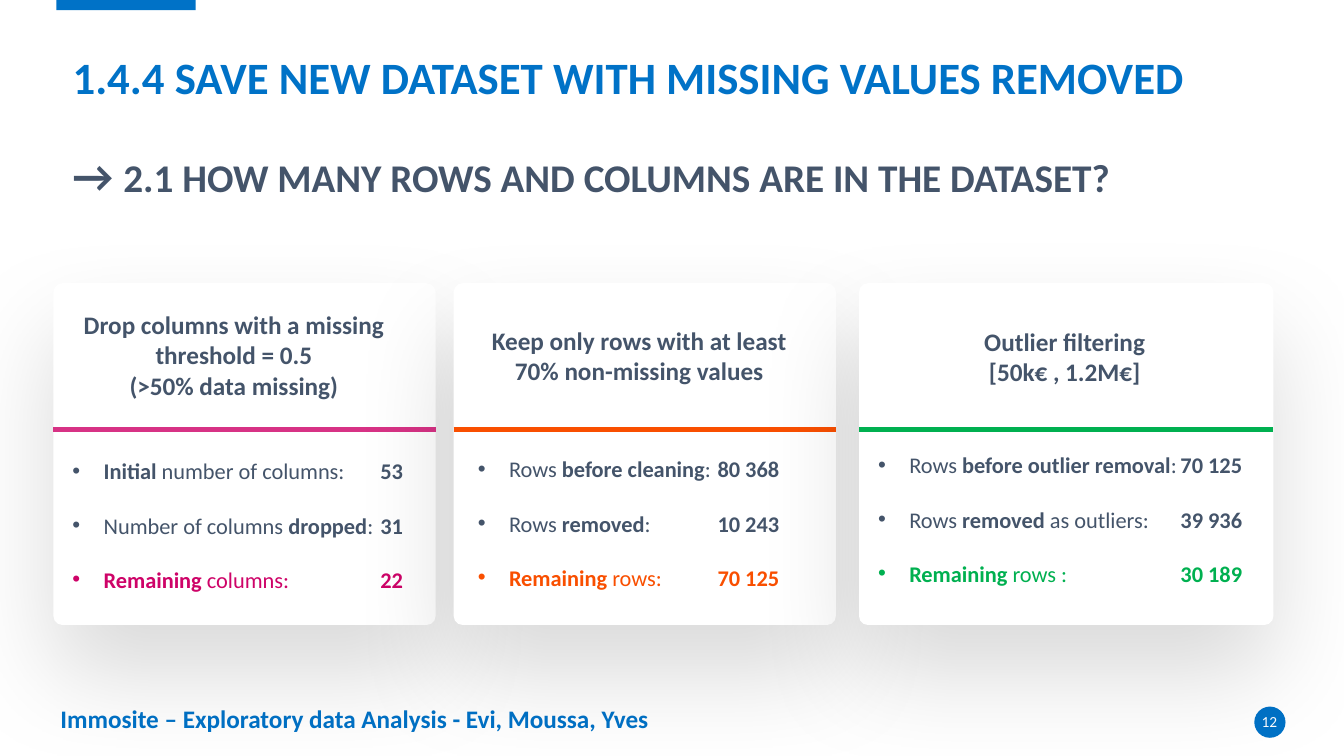
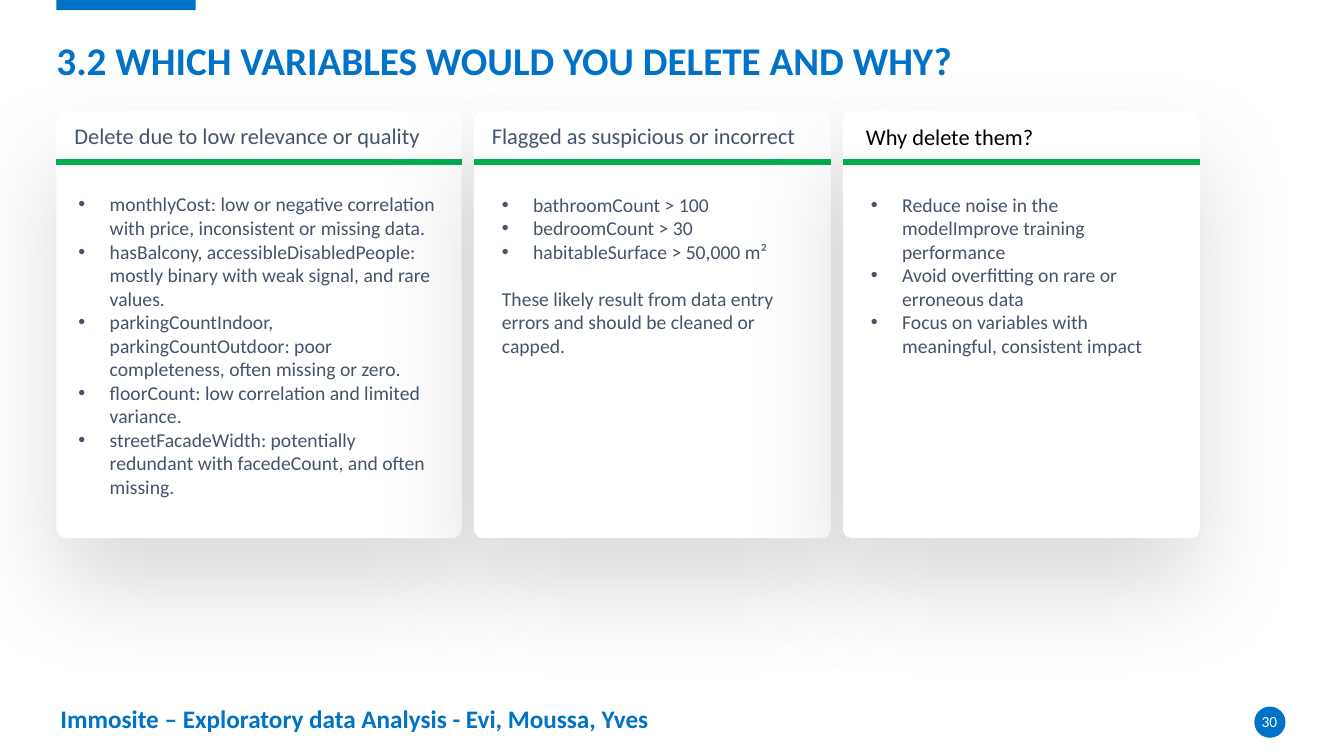
import lxml.etree
import pptx
import pptx.dml.color
import pptx.enum.shapes
import pptx.enum.text
import pptx.oxml.ns
import pptx.util

Inches = pptx.util.Inches
Pt = pptx.util.Pt
Color = pptx.dml.color.RGBColor
Shape = pptx.enum.shapes.MSO_SHAPE
Align = pptx.enum.text.PP_ALIGN
Anchor = pptx.enum.text.MSO_ANCHOR
qn = pptx.oxml.ns.qn

BLUE = Color(0x00, 0x72, 0xC7)
SLATE = Color(0x44, 0x54, 0x6A)
PINK_LINE = Color(0xD7, 0x32, 0x85)
PINK = Color(0xCE, 0x03, 0x68)
ORANGE = Color(0xF9, 0x4F, 0x00)
GREEN = Color(0x00, 0xB0, 0x50)
WHITE = Color(0xFF, 0xFF, 0xFF)
BLACK = Color(0x00, 0x00, 0x00)
FONT = "Calibri"
FOOTER = "Immosite – Exploratory data Analysis - Evi, Moussa, Yves"
HANG = 0.31
INSETS = (0.1, 0.05, 0.1, 0.05)

CLEANING = {
    "number": "12",
    "title_box": (0.62, 0.5, 12.28, 1.56),
    "title_insets": INSETS,
    "title_anchor": Anchor.MIDDLE,
    "title": [
        [("1.4.4 SAVE NEW DATASET WITH MISSING VALUES REMOVED", {"size": Pt(32)})],
        [("→ ", {"size": Pt(32), "color": SLATE}),
         ("2.1 HOW MANY ROWS AND COLUMNS ARE IN THE DATASET?", {"color": SLATE})],
    ],
    "card_top": 2.81, "card_height": 3.39, "rule_top": 4.26,
}
CLEANING_CARDS = [
    {"left": 0.53, "width": 3.79, "line": PINK_LINE, "accent": PINK,
     "heading": ["Drop columns with a missing threshold = 0.5", "(>50% data missing)"],
     "heading_box": (0.7, 3.02, 3.24, 1.01),
     "body_at": (0.62, 4.49), "tab": 3.28,
     "rows": [([("Initial", True), (" number of columns:", False)], "53"),
              ([("Number of columns ", False), ("dropped", True), (":", False)], "31"),
              ([("Remaining", True), (" columns:", False)], "22")]},
    {"left": 4.5, "width": 3.79, "line": ORANGE, "accent": ORANGE,
     "heading": ["Keep only rows with at least 70% non-missing values"],
     "heading_box": (4.72, 3.18, 3.24, 0.71),
     "body_at": (4.64, 4.47), "tab": 2.99,
     "rows": [([("Rows ", False), ("before cleaning", True), (":", False)], "80 368"),
              ([("Rows ", False), ("removed", True), (":", False)], "10 243"),
              ([("Remaining", True), (" rows:", False)], "70 125")]},
    {"left": 8.52, "width": 4.11, "line": GREEN, "accent": GREEN,
     "heading": ["Outlier filtering", "[50k€ , 1.2M€]"],
     "heading_box": (8.65, 3.19, 3.82, 0.71),
     "body_at": (8.61, 4.43), "tab": 3.62,
     "rows": [([("Rows ", False), ("before outlier removal", True), (":", False)], "70 125"),
              ([("Rows ", False), ("removed", True), (" as outliers:", False)], "39 936"),
              ([("Remaining", True), (" rows :", False)], "30 189")]},
]

VARIABLES = {
    "number": "30",
    "title_box": (0.56, 0.27, 12.19, 0.56),
    "title_insets": (0, 0, 0, 0),
    "title_anchor": Anchor.BOTTOM,
    "title": [[("3.2 WHICH VARIABLES WOULD YOU DELETE AND WHY?", {})]],
    "card_top": 1.1, "card_height": 4.24, "rule_top": 1.61,
}
VARIABLE_CARDS = [
    {"width": 4.02, "heading": "Delete due to low relevance or quality",
     "heading_box": (0.64, 1.16, 4.86, 0.37), "heading_color": SLATE,
     "body_box": (0.68, 1.86, 3.78, 3.16),
     "bullets": [
         "monthlyCost: low or negative correlation with price, inconsistent or missing data.",
         "hasBalcony, accessibleDisabledPeople: mostly binary with weak signal, and rare values.",
         "parkingCountIndoor, parkingCountOutdoor: poor completeness, often missing or zero.",
         "floorCount: low correlation and limited variance.",
         "streetFacadeWidth: potentially redundant with facedeCount, and often missing."]},
    {"width": 3.54, "heading": "Flagged as suspicious or incorrect",
     "heading_box": (4.78, 1.16, 3.29, 0.37), "heading_color": SLATE,
     "body_box": (4.88, 1.86, 2.96, 1.75),
     "bullets": ["bathroomCount > 100", "bedroomCount > 30", "habitableSurface > 50,000 m²"],
     "remark": "These likely result from data entry errors and should be cleaned or capped."},
    {"width": 3.54, "heading": "Why delete them?",
     "heading_box": (8.49, 1.17, 3.29, 0.37), "heading_color": BLACK,
     "body_box": (8.54, 1.86, 2.96, 1.75),
     "bullets": ["Reduce noise in the modelImprove training performance",
                 "Avoid overfitting on rare or erroneous data",
                 "Focus on variables with meaningful, consistent impact"]},
]
VARIABLE_LEFT = 0.56
VARIABLE_GAP = 0.12


def inches(values):
    return [Inches(value) for value in values]


def set_format(target, values):
    for name, value in values.items():
        if name == "color":
            target.color.rgb = value
        else:
            setattr(target, name, value)


def add_element(parent, tag, **attributes):
    return lxml.etree.SubElement(parent, qn(tag), attributes)


def add_bullet(paragraph, tab=None):
    properties = paragraph._p.get_or_add_pPr()
    properties.set("marL", str(Inches(HANG)))
    properties.set("indent", str(-Inches(HANG)))
    add_element(properties, "a:buFont", typeface="Arial")
    add_element(properties, "a:buChar", char="•")
    if tab:
        tabs = add_element(properties, "a:tabLst")
        add_element(tabs, "a:tab", pos=str(Inches(tab)), algn="r")


def fill_frame(frame, paragraphs, font, paragraph_format=None, insets=INSETS, anchor=Anchor.TOP):
    left, top, right, bottom = inches(insets)
    set_format(frame, {"word_wrap": True, "auto_size": pptx.enum.text.MSO_AUTO_SIZE.NONE,
                       "vertical_anchor": anchor, "margin_left": left, "margin_top": top,
                       "margin_right": right, "margin_bottom": bottom})
    for index, runs in enumerate(paragraphs):
        paragraph = frame.paragraphs[0] if index == 0 else frame.add_paragraph()
        set_format(paragraph, paragraph_format or {})
        for text, changes in runs:
            run = paragraph.add_run()
            run.text = text
            set_format(run.font, {"name": FONT, **font, **changes})
    return frame.paragraphs


def add_text(slide, box, paragraphs, font, paragraph_format=None, insets=INSETS):
    frame = slide.shapes.add_textbox(*inches(box)).text_frame
    return fill_frame(frame, paragraphs, font, paragraph_format, insets)


def add_plain_shape(slide, kind, box, color):
    shape = slide.shapes.add_shape(kind, *inches(box))
    shape.shadow.inherit = False
    shape.fill.solid()
    shape.fill.fore_color.rgb = color
    shape.line.fill.background()
    return shape


def add_card(slide, content, left, width, line_color):
    card = add_plain_shape(slide, Shape.ROUNDED_RECTANGLE,
                           (left, content["card_top"], width, content["card_height"]), WHITE)
    card.adjustments[0] = 0.026
    effects = card._element.spPr.find(qn("a:effectLst"))
    shadow = add_element(effects, "a:outerShdw", blurRad=str(Pt(75)), dist=str(Pt(35)),
                         dir="5400000", algn="t", rotWithShape="0")
    add_element(add_element(shadow, "a:srgbClr", val="000000"), "a:alpha", val="15000")
    rule = slide.shapes.add_connector(
        pptx.enum.shapes.MSO_CONNECTOR.STRAIGHT,
        *inches((left, content["rule_top"], left + width, content["rule_top"])))
    rule.line.color.rgb = line_color
    rule.line.width = Pt(4)
    add_element(rule._element.spPr, "a:effectLst")


def add_slide(presentation, content):
    slide = presentation.slides.add_slide(presentation.slide_layouts[5])
    add_plain_shape(slide, Shape.RECTANGLE, (0.56, -0.02, 1.38, 0.12), BLUE)
    add_text(slide, (0.5, 6.93, 7.92, 0.4), [[(FOOTER, {})]],
             {"size": Pt(18), "bold": True, "color": BLUE})
    add_plain_shape(slide, Shape.OVAL, (12.44, 7.01, 0.31, 0.31), BLUE)
    add_text(slide, (12.27, 7.02, 0.64, 0.29), [[(content["number"], {})]],
             {"size": Pt(11), "color": WHITE}, {"alignment": Align.CENTER})
    title = slide.shapes.title
    title.left, title.top, title.width, title.height = inches(content["title_box"])
    paragraphs = fill_frame(title.text_frame, content["title"],
                            {"size": Pt(28), "bold": True, "color": BLUE},
                            {"alignment": Align.LEFT, "line_spacing": 0.9},
                            content["title_insets"], content["title_anchor"])
    for paragraph in paragraphs[1:]:
        paragraph.space_before = Pt(35)
    return slide


def add_cleaning_slide(presentation):
    slide = add_slide(presentation, CLEANING)
    for card in CLEANING_CARDS:
        add_card(slide, CLEANING, card["left"], card["width"], card["line"])
        add_text(slide, card["heading_box"], [[(text, {})] for text in card["heading"]],
                 {"size": Pt(18), "bold": True, "color": SLATE}, {"alignment": Align.CENTER})
        rows = []
        for index, (label, value) in enumerate(card["rows"]):
            color = card["accent"] if index == len(card["rows"]) - 1 else SLATE
            rows.append([(text, {"bold": bold, "color": color})
                         for text, bold in label + [("\t" + value, True)]])
        left, top = card["body_at"]
        width = card["left"] + card["width"] - left
        paragraphs = add_text(slide, (left, top, width, 1.45), rows, {"size": Pt(16)},
                              insets=(0.1, 0.05, 0, 0.05))
        for index, paragraph in enumerate(paragraphs):
            add_bullet(paragraph, card["tab"])
            if index:
                paragraph.space_before = Pt(19.5)


def add_variables_slide(presentation):
    slide = add_slide(presentation, VARIABLES)
    left = VARIABLE_LEFT
    for card in VARIABLE_CARDS:
        add_card(slide, VARIABLES, left, card["width"], GREEN)
        left += card["width"] + VARIABLE_GAP
        add_text(slide, card["heading_box"], [[(card["heading"], {})]],
                 {"size": Pt(16), "color": card["heading_color"]})
        texts = card["bullets"] + ([card["remark"]] if "remark" in card else [])
        paragraphs = add_text(slide, card["body_box"], [[(text, {})] for text in texts],
                              {"size": Pt(14), "color": SLATE})
        for paragraph in paragraphs[:len(card["bullets"])]:
            add_bullet(paragraph)
        for paragraph in paragraphs[len(card["bullets"]):]:
            paragraph.space_before = Pt(17)


def main():
    presentation = pptx.Presentation()
    presentation.slide_width = Inches(13.33)
    presentation.slide_height = Inches(7.5)
    add_cleaning_slide(presentation)
    add_variables_slide(presentation)
    presentation.save("out.pptx")


if __name__ == "__main__":
    main()
